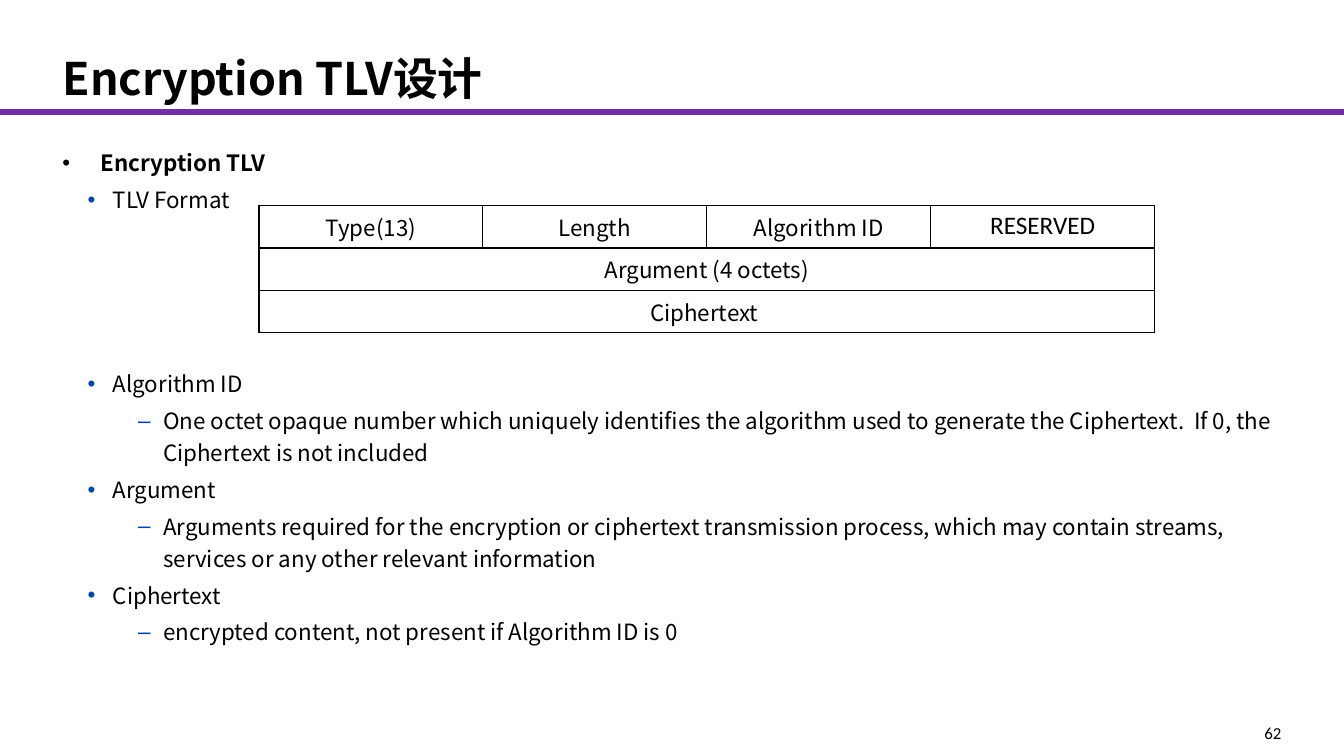
import pptx
import pptx.util
import pptx.dml.color
import pptx.enum.shapes
import pptx.enum.text
import pptx.oxml
import pptx.oxml.ns
from dataclasses import dataclass

Inches, Pt = pptx.util.Inches, pptx.util.Pt
RGB = pptx.dml.color.RGBColor.from_string
ALIGN = pptx.enum.text.PP_ALIGN
ANCHOR = pptx.enum.text.MSO_ANCHOR
NS = pptx.oxml.ns.nsdecls("a")


@dataclass(frozen=True)
class Theme:
    font: str = "Noto Sans CJK SC"
    latin: str = "Calibri"
    text: str = "000000"
    rule: str = "7030A0"
    bullet: str = "0046A4"
    cell: str = "FFFFFF"
    title: int = 32
    body: int = 16
    reserved: int = 18
    number: int = 12


THEME = Theme()

LEVELS = [
    dict(left=0.38, hang=0.38, mark="•", color=THEME.text, bold=True),
    dict(left=0.5, hang=0.25, mark="•", color=THEME.bullet, bold=False),
    dict(left=1, hang=0.25, mark="–", color=THEME.bullet, bold=False),
]

BULLETS = [
    (0, "Encryption TLV", 0),
    (1, "TLV Format", 3.2),
    (1, "Algorithm ID", 108.5),
    (2, "One octet opaque number which uniquely identifies the algorithm used to "
        "generate the Ciphertext.  If 0, the Ciphertext is not included", 3.2),
    (1, "Argument", 3.2),
    (2, "Arguments required for the encryption or ciphertext transmission process, "
        "which may contain streams, services or any other relevant information", 3.2),
    (1, "Ciphertext", 3.2),
    (2, "encrypted content, not present if Algorithm ID is 0", 3.2),
]

TLV_ROWS = [
    ["Type(13)", "Length", "Algorithm ID", "RESERVED"],
    ["Argument (4 octets)"],
    ["Ciphertext "],
]


def apply(obj, **values):
    for name, value in values.items():
        setattr(obj, name, value)


def add_xml(parent, xml):
    parent.append(pptx.oxml.parse_xml(xml))


def place(sp, box):
    apply(sp, **dict(zip(("left", "top", "width", "height"), map(Inches, box))))


def set_frame(tf, anchor, wrap=True, pad=0):
    apply(tf, margin_left=0, margin_right=0, margin_top=Inches(pad),
          margin_bottom=Inches(pad), vertical_anchor=anchor, word_wrap=wrap,
          auto_size=pptx.enum.text.MSO_AUTO_SIZE.NONE)


def write(p, text, size, font=THEME.font, bold=False, align=ALIGN.LEFT):
    r = p.add_run()
    r.text = text
    p.alignment = align
    apply(r.font, name=font, size=Pt(size), bold=bold)
    r.font.color.rgb = RGB(THEME.text)
    add_xml(r.font._element, f'<a:ea {NS} typeface="{font}"/>')


def add_title(slide, box, text):
    sp = slide.shapes.title
    place(sp, box)
    set_frame(sp.text_frame, ANCHOR.BOTTOM, pad=0.05)
    write(sp.text_frame.paragraphs[0], text, THEME.title, bold=True)


def add_rule(slide, box):
    left, top, width, height = map(Inches, box)
    line = slide.shapes.add_connector(
        pptx.enum.shapes.MSO_CONNECTOR.STRAIGHT, left, top, left + width, top + height)
    line.line.color.rgb = RGB(THEME.rule)
    line.line.width = Pt(2.25)
    add_xml(line._element.spPr,
            f'<a:effectLst {NS}><a:outerShdw dist="{Pt(2)}" dir="5400000">'
            f'<a:srgbClr val="{THEME.rule}"/></a:outerShdw></a:effectLst>')


def add_bullets(slide, box, items):
    sp = slide.placeholders[1]
    place(sp, box)
    tf = sp.text_frame
    set_frame(tf, ANCHOR.TOP)
    for i, (level, text, before) in enumerate(items):
        p = tf.add_paragraph() if i else tf.paragraphs[0]
        look = LEVELS[level]
        apply(p, level=level, line_spacing=1.2, space_before=Pt(before), space_after=Pt(0))
        pPr = p._p.get_or_add_pPr()
        pPr.set("marL", str(Inches(look["left"])))
        pPr.set("indent", str(-Inches(look["hang"])))
        add_xml(pPr, f'<a:buClr {NS}><a:srgbClr val="{look["color"]}"/></a:buClr>')
        add_xml(pPr, f'<a:buFont {NS} typeface="Arial"/>')
        add_xml(pPr, f'<a:buChar {NS} char="{look["mark"]}"/>')
        write(p, text, THEME.body, bold=look["bold"])


def format_cell(cell):
    tcPr = cell._tc.get_or_add_tcPr()
    for side in ("lnL", "lnR", "lnT", "lnB"):
        add_xml(tcPr, f'<a:{side} {NS} w="{Pt(1)}"><a:solidFill>'
                      f'<a:srgbClr val="{THEME.text}"/></a:solidFill></a:{side}>')
    cell.fill.solid()
    cell.fill.fore_color.rgb = RGB(THEME.cell)


def add_tlv_table(slide, box, rows):
    columns = max(map(len, rows))
    table = slide.shapes.add_table(len(rows), columns, *map(Inches, box)).table
    apply(table, first_row=False, horz_banding=False)
    for cell in table.iter_cells():
        format_cell(cell)
    for i, texts in enumerate(rows):
        if len(texts) == 1:
            table.cell(i, 0).merge(table.cell(i, columns - 1))
        for j, text in enumerate(texts):
            reserved = text == "RESERVED"
            write(table.cell(i, j).text_frame.paragraphs[0], text,
                  THEME.reserved if reserved else THEME.body,
                  THEME.latin if reserved else THEME.font, align=ALIGN.CENTER)


def add_number(slide, box, text):
    tf = slide.shapes.add_textbox(*map(Inches, box)).text_frame
    set_frame(tf, ANCHOR.TOP, wrap=False)
    write(tf.paragraphs[0], text, THEME.number, THEME.latin, align=ALIGN.RIGHT)


def main():
    prs = pptx.Presentation()
    apply(prs, slide_width=Inches(13.34), slide_height=Inches(7.5))
    slide = prs.slides.add_slide(prs.slide_layouts[1])
    add_number(slide, (12.46, 7.17, 0.26, 0.15), "62")
    add_rule(slide, (0, 1.1, 13.34, 0))
    add_title(slide, (0.62, 0.18, 12.11, 0.91), "Encryption TLV设计")
    add_bullets(slide, (0.62, 1.43, 12.11, 5.02), BULLETS)
    add_tlv_table(slide, (2.57, 2.04, 8.89, 1.22), TLV_ROWS)
    prs.save("out.pptx")


if __name__ == "__main__":
    main()
